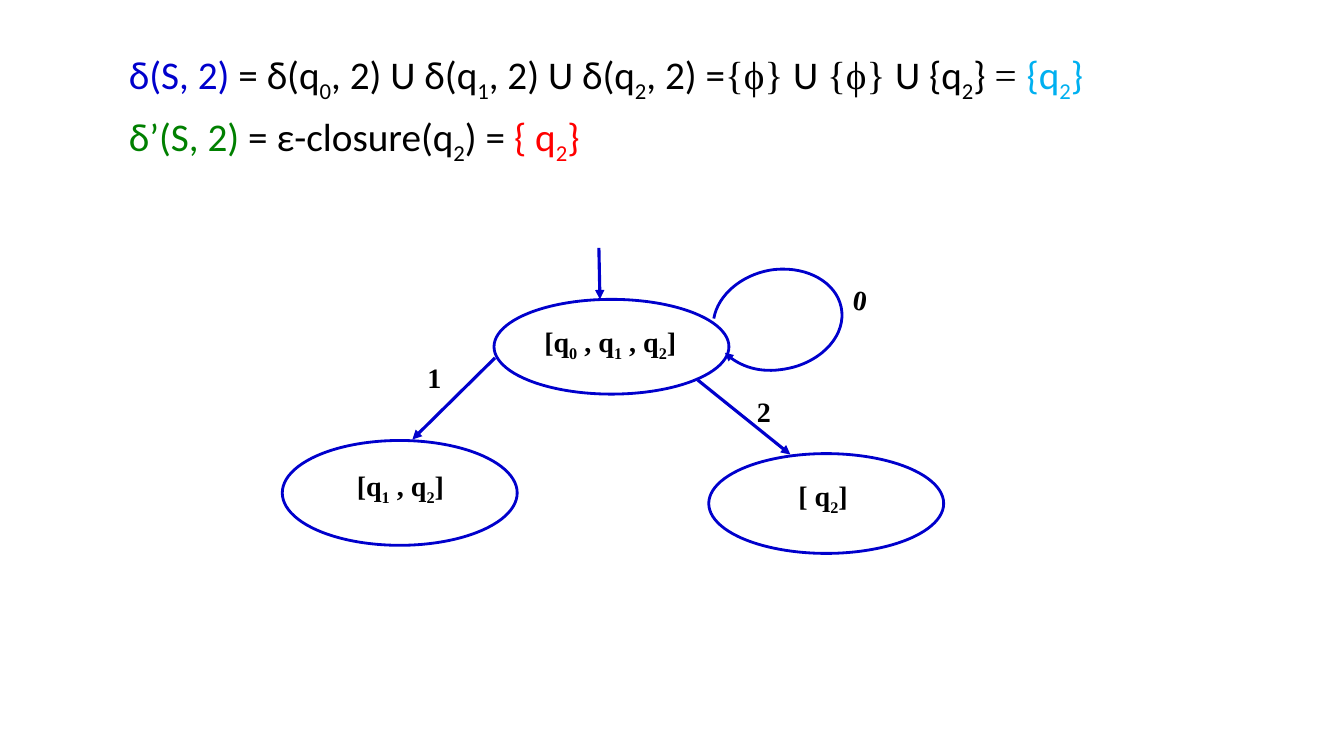
from lxml import etree
from pptx import Presentation
from pptx.dml.color import RGBColor
from pptx.enum.shapes import MSO_CONNECTOR as CONNECTOR, MSO_SHAPE as SHAPE
from pptx.oxml.ns import qn
from pptx.util import Inches, Pt

COLORS = {
    "blue": "0000CC",
    "green": "008000",
    "sky": "00B0F0",
    "red": "FF0000",
    "black": "000000",
}
SERIF, SANS = "Times New Roman", "Calibri"

EQUATIONS = [
    [
        ("δ(S, 2) ", "blue", SANS),
        ("= δ(q_0, 2) U δ(q_1, 2) U δ(q_2, 2) =", "black", SANS),
        ("{ϕ} ", "black", SERIF),
        ("U ", "black", SANS),
        ("{ϕ} ", "black", SERIF),
        ("U {q_2} ", "black", SANS),
        ("= ", "black", SERIF),
        ("{q_2}", "sky", SANS),
    ],
    [
        ("δ’(S, 2) ", "green", SANS),
        ("= ε-closure(q_2) = ", "black", SANS),
        ("{ q_2}", "red", SANS),
    ],
]
STATES = [
    ("[q_0 , q_1 , q_2]", (4.9, 2.97, 2.33, 0.94), (0.4, 0.2, 1.74, 0.54)),
    ("[q_1 , q_2]", (2.8, 4.37, 2.33, 1.04), (0.64, 0.23, 1.15, 0.56)),
    ("[ q_2]", (7.03, 4.5, 2.33, 0.99), (0.79, 0.2, 1.15, 0.53)),
]
ARROWS = [
    (5.94, 2.46, 5.95, 2.97),
    (4.91, 3.55, 4.09, 4.36),
    (6.92, 3.77, 7.84, 4.51),
]
INPUTS = [("0", 8.37, 2.76, 9), ("1", 4.14, 3.53, 0), ("2", 7.41, 3.86, 0)]
LOOP = [
    (0.01, 0.48),
    (0.05, 0.25), (0.28, 0.05), (0.57, 0),
    (0.89, -0.05), (1.18, 0.09), (1.26, 0.32),
    (1.35, 0.58), (1.15, 0.86), (0.81, 0.96),
    (0.55, 1.03), (0.28, 0.98), (0.12, 0.82),
]


def color(name):
    return RGBColor.from_string(COLORS[name])


def add_runs(paragraph, text):
    first, *rest = text.split("_")
    pieces = [(first, False)]
    for part in rest:
        pieces += [(part[0], True), (part[1:], False)]
    runs = []
    for piece, lowered in pieces:
        if piece:
            run = paragraph.add_run()
            run.text = piece
            if lowered:
                run._r.get_or_add_rPr().set("baseline", "-25000")
            runs.append(run)
    return runs


def add_text_frame(slide, box, rotation=0):
    shape = slide.shapes.add_textbox(*map(Inches, box))
    shape.rotation = rotation
    shape.text_frame.word_wrap = True
    return shape.text_frame


def add_equations(slide, box):
    frame = add_text_frame(slide, box)
    for index, equation in enumerate(EQUATIONS):
        paragraph = frame.add_paragraph() if index else frame.paragraphs[0]
        paragraph.line_spacing = 0.9
        if index:
            paragraph.space_before = Pt(10)
        paragraph.font.size = Pt(28)
        for text, color_name, typeface in equation:
            for run in add_runs(paragraph, text):
                run.font.name = typeface
                run.font.color.rgb = color(color_name)


def add_label(slide, text, box, rotation=0):
    paragraph = add_text_frame(slide, box, rotation).paragraphs[0]
    add_runs(paragraph, text)
    font = paragraph.font
    font.name, font.size, font.bold = SERIF, Pt(20), True
    font.color.rgb = color("black")


def style_line(shape, width, arrow=False):
    shape.line.color.rgb = color("blue")
    shape.line.width = Pt(width)
    if arrow:
        line = shape.line._get_or_add_ln()
        etree.SubElement(line, qn("a:tailEnd"), type="triangle")


def add_state(slide, text, box, label_offset):
    ellipse = slide.shapes.add_shape(SHAPE.OVAL, *map(Inches, box))
    ellipse.shadow.inherit = False
    ellipse.fill.background()
    style_line(ellipse, 2)
    dx, dy, width, height = label_offset
    add_label(slide, text, (box[0] + dx, box[1] + dy, width, height))


def add_arrow(slide, ends):
    arrow = slide.shapes.add_connector(CONNECTOR.STRAIGHT, *map(Inches, ends))
    style_line(arrow, 2.25, arrow=True)
    etree.SubElement(arrow._element.spPr, qn("a:effectLst"))


def add_loop(slide, left, top):
    points = [(Inches(left + x), Inches(top + y)) for x, y in LOOP]
    builder = slide.shapes.build_freeform(*points[0])
    builder.add_line_segments(points[1:], close=False)
    loop = builder.convert_to_shape()
    path = loop._element.spPr.find(".//" + qn("a:path"))
    segments = path.findall(qn("a:lnTo"))
    for start in range(0, len(segments), 3):
        curve = etree.SubElement(path, qn("a:cubicBezTo"))
        for segment in segments[start:start + 3]:
            curve.append(segment[0])
            path.remove(segment)
    loop.shadow.inherit = False
    loop.fill.background()
    style_line(loop, 2, arrow=True)


def add_automaton(slide):
    for text, box, label_offset in STATES:
        add_state(slide, text, box, label_offset)
    for ends in ARROWS:
        add_arrow(slide, ends)
    add_loop(slide, 7.07, 2.68)
    for text, left, top, rotation in INPUTS:
        add_label(slide, text, (left, top, 0.37, 0.35), rotation)


def main():
    presentation = Presentation()
    presentation.slide_width = Inches(13.33)
    presentation.slide_height = Inches(7.5)
    slide = presentation.slides.add_slide(presentation.slide_layouts[6])
    add_equations(slide, (1.18, 0.46, 11.24, 6.3))
    add_automaton(slide)
    presentation.save("out.pptx")


if __name__ == "__main__":
    main()
